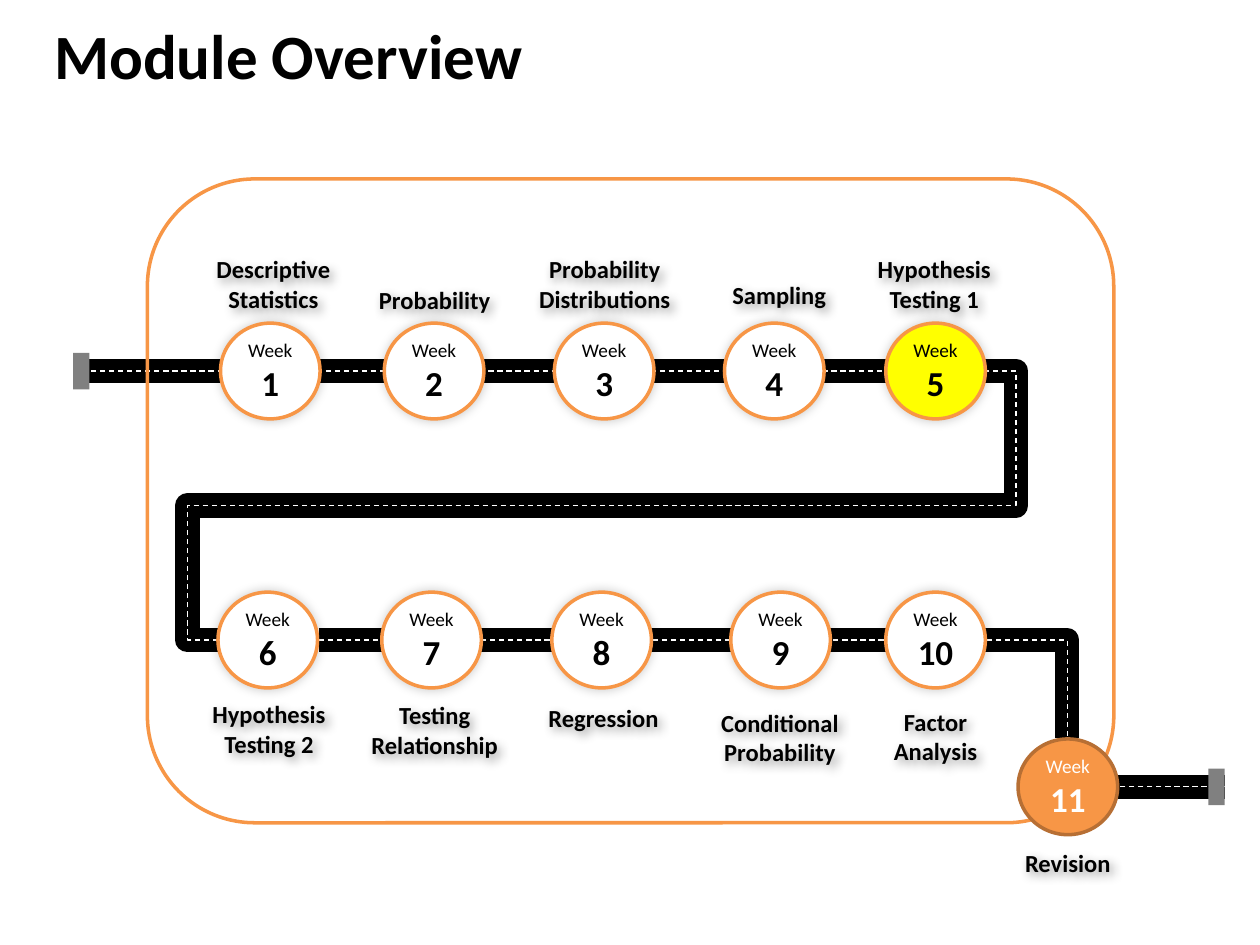
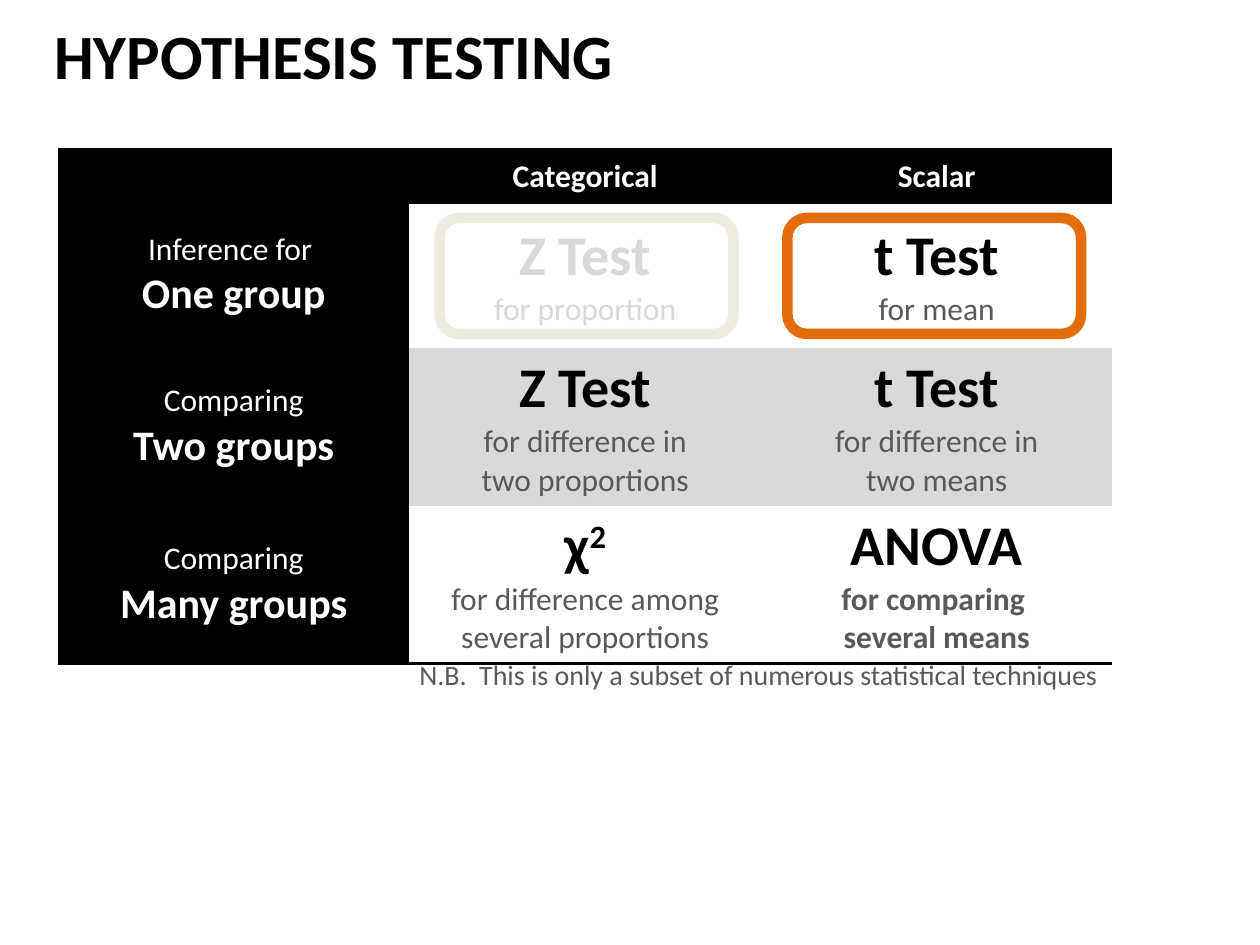
"""Build the module road map and the table of hypothesis tests."""
from dataclasses import dataclass
from typing import Any, NamedTuple, Optional

from lxml import etree
from pptx import Presentation, util as u
from pptx.dml.color import RGBColor
from pptx.enum import dml, shapes, text
from pptx.oxml.ns import qn

CELL = u.Inches(0.1)
NO_STYLE = "{2D5ABB26-0587-4C30-8999-92F81FD0307C}"


class Style(NamedTuple):
    """Size, colour, weight and raise of some text."""
    size: float
    hue: str
    bold: bool = False
    lift: int = 0


@dataclass(frozen=True)
class Theme:
    """Colours, font and type styles of the deck."""
    font: str = "Calibri"
    black: str = "000000"
    white: str = "FFFFFF"
    accent: str = "F79646"
    rim: str = "B76F34"
    now: str = "FFFF00"
    post: str = "808080"
    band: str = "D9D9D9"
    faint: str = "EEECE1"
    focus: str = "E46C0A"
    title: Style = Style(36, "000000", True)
    tag: Style = Style(14, "000000", True)
    week: float = 11
    count: float = 20
    head: Style = Style(18, "FFFFFF", True)
    lead: Style = Style(18, "FFFFFF")
    group: Style = Style(24, "FFFFFF", True)
    test: Style = Style(32, "000000", True)
    power: Style = Style(32, "000000", True, 30)
    use: Style = Style(18, "595959")
    strong: Style = Style(18, "595959", True)
    dim: Style = Style(32, "D9D9D9", True)
    pale: Style = Style(18, "D9D9D9")
    note: Style = Style(16, "595959")


T = Theme()


class Run(NamedTuple):
    """Words in one style."""
    words: str
    style: Style


class Box(NamedTuple):
    """Place on the grid in columns and rows."""
    col: float
    row: float
    wide: float
    high: float


class Glow(NamedTuple):
    """Blur and distance in points, angle in degrees, opacity in percent."""
    blur: float
    dist: float
    turn: int
    alpha: int


class Stop(NamedTuple):
    """One week on the road, with its label's middle and top."""
    week: int
    mid: float
    row: float
    topic: str
    tag: float
    top: float
    fill: str = T.white


class Road(NamedTuple):
    """A stretch of road between two grid points."""
    start: tuple[float, float]
    end: tuple[float, float]
    bend: str = "line"
    turns: tuple[float, ...] = ()
    post: Optional[int] = None
    side: int = 1


HALO = Glow(6, 0, 315, 20)
SHADE = Glow(6, 3, 45, 40)
UP, LOW, LAST = 29.45, 50.8, 62.45
STOPS = (
    Stop(1, 21.45, UP, "Descriptive\nStatistics", 21.7, 19.7),
    Stop(2, 34.45, UP, "Probability", 34.5, 22.1),
    Stop(3, 47.95, UP, "Probability\nDistributions", 48, 19.7),
    Stop(4, 61.45, UP, "Sampling", 61.85, 21.7),
    Stop(5, 74.25, UP, "Hypothesis\nTesting 1", 74.15, 19.7, T.now),
    Stop(6, 21.25, LOW, "Hypothesis\nTesting 2", 21.35, 55),
    Stop(7, 34.25, LOW, "Testing\nRelationship", 34.5, 55.1),
    Stop(8, 47.75, LOW, "Regression", 47.9, 55.3),
    Stop(9, 61.95, LOW, "Conditional\nProbability", 61.9, 55.7),
    Stop(10, 74.25, LOW, "Factor\nAnalysis", 74.25, 55.6),
    Stop(11, 84.75, LAST, "Revision", 84.75, 66.8, T.accent),
)
POSTS = (Box(5.8, 28, 1.3, 2.9), Box(95.9, 61, 1.3, 2.9))
ROADS = (
    Road((5.8, UP), (70.3, UP), post=0, side=1),
    Road((25.3, LOW), (84.7, 58.6), "bentConnector2"),
    Road((17.3, LOW), (78.2, UP), "bentConnector5", (-0.04, 0.5, 1.04)),
    Road((97.2, LAST), (88.7, LAST), post=1, side=3),
)
Z, TT = Run("Z Test", T.test), Run("t Test", T.test)
PAIR = Run("Comparing", T.lead)
DIFF = Run("for difference in", T.use)
TESTS = (
    ((), ((Run("Categorical", T.head),),), ((Run("Scalar", T.head),),)),
    (((Run("Inference for ", T.lead),), (Run("One group", T.group),)),
     ((Run("Z Test", T.dim),), (Run("for proportion", T.pale),)),
     ((TT,), (Run("for mean", T.use),))),
    (((PAIR,), (Run("Two groups", T.group),)),
     ((Z,), (DIFF,), (Run("two proportions", T.use),)),
     ((TT,), (DIFF,), (Run("two means", T.use),))),
    (((PAIR,), (Run("Many groups", T.group),)),
     ((Run("χ", T.test), Run("2", T.power)),
      (Run("for difference among several proportions", T.use),)),
     ((Run("ANOVA", T.test),), (Run("for comparing ", T.strong),),
      (Run("several means", T.strong),))),
)


def grid(count: float) -> int:
    """Turn grid cells into a length."""
    return u.Emu(round(count * CELL))


def put(thing: Any, **vals: Any) -> None:
    """Set each named value on the thing."""
    for name, val in vals.items():
        setattr(thing, name, val)


def paint(fill: Any, hue: Optional[str]) -> None:
    """Give a solid fill, or none."""
    if hue is None:
        fill.background()
    else:
        fill.solid()
        fill.fore_color.rgb = RGBColor.from_string(hue)


def write(frame: Any, paras: Any, align: Any = text.PP_ALIGN.CENTER) -> None:
    """Fill a text frame with paragraphs of runs."""
    for num, runs in enumerate(paras):
        para = frame.add_paragraph() if num else frame.paragraphs[0]
        para.alignment = align
        for words, style in runs:
            run = para.add_run()
            run.text = words
            put(run.font, name=T.font, size=u.Pt(style.size), bold=style.bold)
            run.font.color.rgb = RGBColor.from_string(style.hue)
            if style.lift:
                run.font._element.set("baseline", str(style.lift * 1000))


def shade(shape: Any, glow: Optional[Glow]) -> None:
    """Drop the theme shadow and add the given one."""
    shape.shadow.inherit = False
    if glow:
        part = etree.SubElement(
            shape._element.spPr.find(qn("a:effectLst")), qn("a:outerShdw"),
            blurRad=str(u.Pt(glow.blur)), dist=str(u.Pt(glow.dist)),
            dir=str(glow.turn * 60000), algn="ctr", rotWithShape="0")
        hue = etree.SubElement(part, qn("a:srgbClr"), val=T.black)
        etree.SubElement(hue, qn("a:alpha"), val=str(glow.alpha * 1000))


def block(slide: Any, kind: Any, box: Box, fill: Optional[str] = None,
          rim: Optional[str] = None, width: float = 2,
          glow: Optional[Glow] = None) -> Any:
    """Draw a preset shape on the grid."""
    shape = slide.shapes.add_shape(kind, *map(grid, box))
    paint(shape.fill, fill)
    paint(shape.line.fill, rim)
    if rim:
        shape.line.width = u.Pt(width)
    shade(shape, glow)
    return shape


def label(slide: Any, box: Box, paras: Any, align: Any = text.PP_ALIGN.CENTER,
          glow: Optional[Glow] = None) -> None:
    """Add a text box that does not wrap."""
    shape = slide.shapes.add_textbox(*map(grid, box))
    put(shape.text_frame, word_wrap=False,
        auto_size=text.MSO_AUTO_SIZE.SHAPE_TO_FIT_TEXT)
    write(shape.text_frame, paras, align)
    shade(shape, glow)


def page(deck: Any, title: str, high: float) -> Any:
    """Add a slide with its title in the shared style."""
    slide = deck.slides.add_slide(deck.slide_layouts[5])
    head = slide.shapes.title
    put(head, **dict(zip(("left", "top", "width", "height"),
                         map(grid, (3.3, 0.8, 90, high)))))
    put(head.text_frame, vertical_anchor=text.MSO_ANCHOR.TOP, word_wrap=True)
    write(head.text_frame, [[Run(title, T.title)]], text.PP_ALIGN.LEFT)
    return slide


def pave(slide: Any, road: Road, posts: list[Any]) -> None:
    """Draw a road and its dashed middle line."""
    kinds = shapes.MSO_CONNECTOR
    kind = kinds.ELBOW if road.bend != "line" else kinds.STRAIGHT
    for hue, width, dash in ((T.black, 14, None),
                             (T.white, 0.75, dml.MSO_LINE.DASH)):
        line = slide.shapes.add_connector(
            kind, *map(grid, road.start + road.end))
        paint(line.line.fill, hue)
        put(line.line, width=u.Pt(width), dash_style=dash)
        props = line._element.spPr
        etree.SubElement(props, qn("a:effectLst"))
        shape = props.find(qn("a:prstGeom"))
        shape.set("prst", road.bend)
        for num, turn in enumerate(road.turns, 1):
            etree.SubElement(shape.find(qn("a:avLst")), qn("a:gd"),
                             name=f"adj{num}",
                             fmla=f"val {round(turn * 100000)}")
        if road.post is not None:
            line.begin_connect(posts[road.post], road.side)


def visit(slide: Any, stop: Stop) -> None:
    """Draw a week's circle and topic."""
    last = stop.fill == T.accent
    disc = block(slide, shapes.MSO_SHAPE.OVAL,
                 Box(stop.mid - 3.95, stop.row - 3.8, 7.9, 7.6), stop.fill,
                 T.rim if last else T.accent, glow=None if last else HALO)
    put(disc.text_frame, word_wrap=False, vertical_anchor=text.MSO_ANCHOR.MIDDLE)
    hue = T.white if last else T.black
    write(disc.text_frame, [[Run("Week", Style(T.week, hue))],
                            [Run(str(stop.week), Style(T.count, hue, True))]])
    lines = stop.topic.split("\n")
    label(slide, Box(stop.tag - 7, stop.top, 14, 1.1 + 2.3 * len(lines)),
          [[Run(line, T.tag)] for line in lines], glow=SHADE)


def edge(cell: Any, *sides: str) -> None:
    """Draw black borders on the named sides of a cell."""
    props = cell._tc.get_or_add_tcPr()
    for num, side in enumerate(sides):
        line = etree.Element(qn(f"a:{side}"), w=str(u.Pt(2)))
        fill = etree.SubElement(line, qn("a:solidFill"))
        etree.SubElement(fill, qn("a:srgbClr"), val=T.black)
        props.insert(num, line)


def overview(deck: Any) -> None:
    """Build the road map of the weeks."""
    slide = page(deck, "Module Overview", 9.5)
    kinds = shapes.MSO_SHAPE
    posts = [block(slide, kinds.RECTANGLE, box, T.post) for box in POSTS]
    for road in ROADS:
        pave(slide, road, posts)
    block(slide, kinds.ROUNDED_RECTANGLE, Box(11.7, 14.2, 76.7, 51.1),
          rim=T.accent)
    for post in posts:
        slide.shapes._spTree.append(post._element)
    for stop in STOPS:
        visit(slide, stop)


def testing(deck: Any) -> None:
    """Build the table of tests."""
    slide = page(deck, "HYPOTHESIS TESTING", 12.5)
    table = slide.shapes.add_table(
        4, 3, *map(grid, (4.6, 11.9, 83.7, 40.3))).table
    table._tbl.tblPr.find(qn("a:tableStyleId")).text = NO_STYLE
    for row, high in zip(table.rows, (4.2, 11.5, 12.3, 12.3)):
        row.height = grid(high)
    for row, line in enumerate(TESTS):
        for col, paras in enumerate(line):
            cell = table.cell(row, col)
            cell.vertical_anchor = text.MSO_ANCHOR.MIDDLE
            write(cell.text_frame, paras)
            dark = row == 0 or col == 0
            paint(cell.fill, T.black if dark else T.band if row == 2 else T.white)
            edge(cell, *{0: ("lnT", "lnB"), 3: ("lnB",)}.get(row, ()))
    label(slide, Box(32.3, 51.7, 56, 3.7), [[Run(
        "N.B.  This is only a subset of numerous statistical techniques",
        T.note)]], text.PP_ALIGN.LEFT)
    for col, hue in ((34.9, T.faint), (62.5, T.focus)):
        block(slide, shapes.MSO_SHAPE.ROUNDED_RECTANGLE,
              Box(col, 17.3, 23.3, 9.2), rim=hue, width=6)


def main() -> None:
    """Build and save the deck."""
    deck = Presentation()
    put(deck, slide_width=grid(100), slide_height=grid(75))
    overview(deck)
    testing(deck)
    deck.save("out.pptx")


if __name__ == "__main__":
    main()
